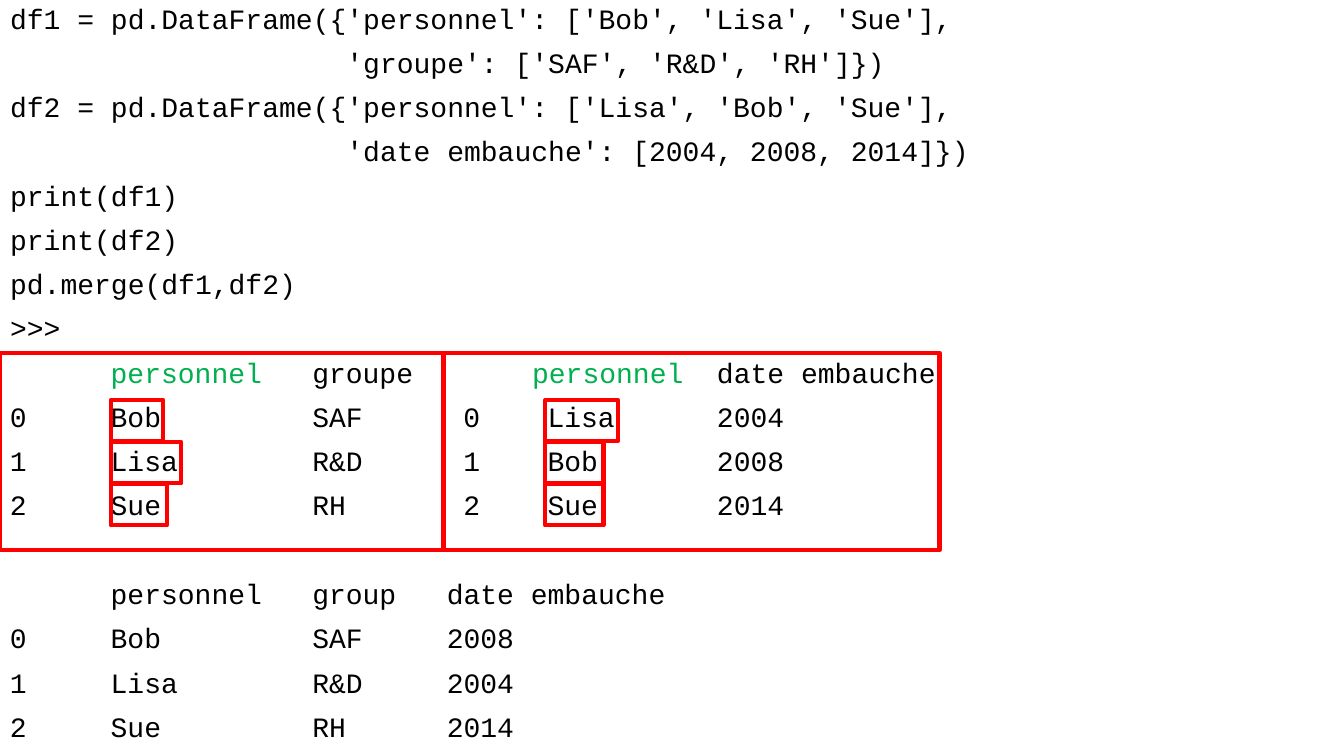
"""Build the slide showing how pd.merge joins two data frames."""
import pptx
import pptx.dml.color
import pptx.enum.shapes
import pptx.enum.text
import pptx.oxml.ns
import pptx.util
from lxml import etree
from pptx.util import Cm

BLACK = pptx.dml.color.RGBColor(0x00, 0x00, 0x00)
GREEN = pptx.dml.color.RGBColor(0x00, 0xB0, 0x50)
RED = pptx.dml.color.RGBColor(0xFF, 0x00, 0x00)

CODE = [
    "df1 = pd.DataFrame({'personnel': ['Bob', 'Lisa', 'Sue'],",
    "                    'groupe': ['SAF', 'R&D', 'RH']})",
    "df2 = pd.DataFrame({'personnel': ['Lisa', 'Bob', 'Sue'],",
    "                    'date embauche': [2004, 2008, 2014]})",
    "print(df1)",
    "print(df2)",
    "pd.merge(df1,df2)",
    ">>>",
]
SOURCE_ROWS = [
    "\tpersonnel\tgroupe\tpersonnel\tdate embauche",
    "0\tBob\tSAF\t0\tLisa\t2004",
    "1\tLisa\tR&D\t1\tBob\t2008",
    "2\tSue\tRH\t2\tSue\t2014",
]
MERGED_ROWS = [
    "\tpersonnel\tgroup\tdate embauche",
    "0\tBob\tSAF\t2008",
    "1\tLisa\tR&D\t2004",
    "2\tSue\tRH\t2014",
]
SOURCE_HEADER_STOPS = [2.54, 7.62, 13.16, 17.82]
SOURCE_STOPS = [2.54, 7.62, 11.43, 13.55, 17.82]
MERGED_STOPS = [2.54, 7.62, 11.01]


def write_lines(box, lines, line_stops):
    frame = box.text_frame
    frame.word_wrap = True
    frame.auto_size = pptx.enum.text.MSO_AUTO_SIZE.NONE
    frame.vertical_anchor = pptx.enum.text.MSO_ANCHOR.TOP
    frame.text = "\n".join(lines)
    for position, (para, stops) in enumerate(zip(frame.paragraphs, line_stops)):
        properties = para._p.get_or_add_pPr()
        if box.is_placeholder:
            properties.set("marL", "0")
            properties.set("indent", "0")
        etree.SubElement(properties, pptx.oxml.ns.qn("a:buNone"))
        if stops:
            tab_list = etree.SubElement(properties, pptx.oxml.ns.qn("a:tabLst"))
            for stop in stops:
                tab = etree.SubElement(tab_list, pptx.oxml.ns.qn("a:tab"))
                tab.set("pos", str(Cm(stop)))
                tab.set("algn", "l")
        if stops is SOURCE_HEADER_STOPS:
            para.clear()
            for label in lines[position].split("\t")[1:]:
                para.add_run().text = "\t" + label
        para.space_before = pptx.util.Pt(10 if position else 0)
        para.space_after = pptx.util.Pt(0)
        para.line_spacing = 0.9
        for span in para.runs:
            span.font.name = "Courier New"
            span.font.size = pptx.util.Pt(20)
            is_key = stops is SOURCE_HEADER_STOPS and span.text.strip() == "personnel"
            span.font.color.rgb = GREEN if is_key else BLACK


def add_frame(page, left, top, width, height):
    frame = page.shapes.add_shape(
        pptx.enum.shapes.MSO_SHAPE.RECTANGLE, Cm(left), Cm(top), Cm(width), Cm(height)
    )
    frame.shadow.inherit = False
    frame.fill.background()
    frame.line.color.rgb = RED
    frame.line.width = pptx.util.Pt(3)


deck = pptx.Presentation()
deck.slide_width, deck.slide_height = Cm(33.87), Cm(19.05)
page = deck.slides.add_slide(deck.slide_layouts[1])
title = page.shapes.title
title.element.getparent().remove(title.element)

code_box = page.placeholders[1]
code_box.left, code_box.top = Cm(0), Cm(0)
code_box.width, code_box.height = Cm(33.87), Cm(8.89)
write_lines(code_box, CODE, [[]] * len(CODE))

source_box = page.shapes.add_textbox(Cm(0), Cm(8.92), Cm(25), Cm(4.95))
write_lines(source_box, SOURCE_ROWS, [SOURCE_HEADER_STOPS] + [SOURCE_STOPS] * 3)

merged_box = page.shapes.add_textbox(Cm(0), Cm(14.5), Cm(25), Cm(4.55))
write_lines(merged_box, MERGED_ROWS, [MERGED_STOPS] * len(MERGED_ROWS))

for left, widths in [(2.79, [1.32, 1.78, 1.42]), (13.74, [1.83, 1.47, 1.47])]:
    for row, width in enumerate(widths):
        add_frame(page, left, 10.08 + 1.06 * row, width, 1.04)

for left, width in [(0, 11.18), (11.18, 12.5)]:
    add_frame(page, left, 8.89, width, 4.98)

deck.save("out.pptx")
